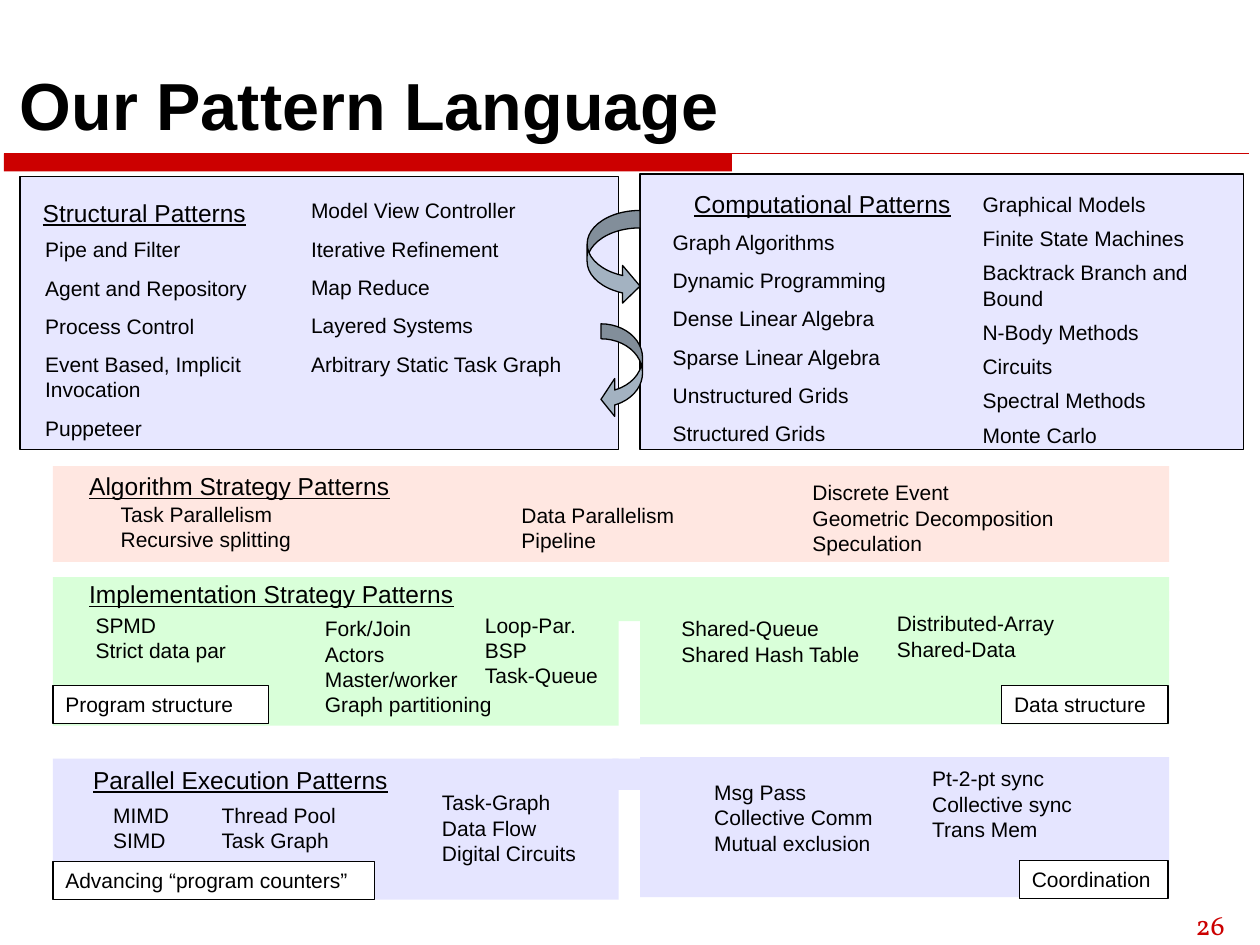
import pptx
import pptx.util
import pptx.dml.color
import pptx.enum.shapes
import pptx.enum.text
import lxml.etree
from pptx.util import Inches

COLORS = {
    "red": "CC0000",
    "black": "000000",
    "white": "FFFFFF",
    "panel": "E7E7FF",
    "execution": "E5E5FF",
    "algorithm": "FFE7E1",
    "implementation": "D9FFD9",
    "arrow": "A3B2C1",
}
SHAPES = pptx.enum.shapes.MSO_SHAPE
DRAWING = "http://schemas.openxmlformats.org/drawingml/2006/main"

deck = pptx.Presentation()
deck.slide_width = Inches(10)
deck.slide_height = Inches(7.5)
page = deck.slides.add_slide(deck.slide_layouts[6])


def add_block(place, fill, outlined=False, kind=SHAPES.RECTANGLE):
    block = page.shapes.add_shape(kind, *map(Inches, place))
    block.shadow.inherit = False
    block.fill.solid()
    block.fill.fore_color.rgb = pptx.dml.color.RGBColor.from_string(COLORS[fill])
    if outlined:
        block.line.color.rgb = pptx.dml.color.RGBColor.from_string(COLORS["black"])
        block.line.width = pptx.util.Pt(0.75)
    else:
        block.line.fill.background()
    return block


def write(box, lines, size=12, gap=0, color="black", font="Arial", tab=None):
    frame = box.text_frame
    frame.word_wrap = True
    frame.vertical_anchor = pptx.enum.text.MSO_ANCHOR.TOP
    for index, line in enumerate(lines):
        paragraph = frame.paragraphs[0] if index == 0 else frame.add_paragraph()
        paragraph.text = line
        paragraph.alignment = pptx.enum.text.PP_ALIGN.LEFT
        paragraph.space_before = pptx.util.Pt(gap if index else 0)
        if tab:
            properties = paragraph._p.get_or_add_pPr()
            stops = lxml.etree.SubElement(properties, f"{{{DRAWING}}}tabLst")
            lxml.etree.SubElement(stops, f"{{{DRAWING}}}tab", pos=str(Inches(tab)), algn="l")
        paragraph.font.size = pptx.util.Pt(size)
        paragraph.font.name = font
        paragraph.font.color.rgb = pptx.dml.color.RGBColor.from_string(COLORS[color])
    return frame


add_block((0.03, 1.22, 5.78, 0.14), "red")
rule = page.shapes.add_connector(
    pptx.enum.shapes.MSO_CONNECTOR.STRAIGHT,
    Inches(0.03), Inches(1.22), Inches(9.91), Inches(1.22))
rule.line.color.rgb = pptx.dml.color.RGBColor.from_string(COLORS["red"])
rule.line.width = pptx.util.Pt(0.75)
lxml.etree.SubElement(rule._element.spPr, f"{{{DRAWING}}}effectLst")

number = page.shapes.add_textbox(Inches(9.39), Inches(7.15), Inches(0.59), Inches(0.35))
write(number, ["26"], size=16, color="red", font="Vollkorn")

title = page.shapes.add_textbox(Inches(0.06), Inches(0.33), Inches(9.79), Inches(0.86))
title_frame = write(title, ["Our Pattern Language"], size=38)
title_frame.vertical_anchor = pptx.enum.text.MSO_ANCHOR.BOTTOM
title_frame.paragraphs[0].font.bold = True

bands = [
    ((0.42, 6.02, 4.49, 1.12), "execution", False),
    ((5.08, 6.01, 4.2, 1.11), "execution", False),
    ((4.86, 6.02, 0.28, 0.25), "execution", False),
    ((0.16, 1.4, 4.75, 2.17), "panel", True),
    ((5.08, 1.38, 4.79, 2.19), "panel", True),
    ((5.08, 4.85, 4.2, 0.9), "implementation", False),
    ((0.42, 4.93, 4.49, 0.83), "implementation", False),
    ((0.42, 3.7, 8.86, 0.76), "algorithm", False),
    ((0.42, 4.58, 8.86, 0.35), "implementation", False),
]
for place, fill, outlined in bands:
    add_block(place, fill, outlined)

curved_arrows = [
    (SHAPES.CURVED_RIGHT_ARROW, (4.66, 1.67, 0.42, 0.75), (0.33, 0.71, 0.33)),
    (SHAPES.CURVED_LEFT_ARROW, (4.77, 2.57, 0.33, 0.75), (0.36, 0.91, 0.33)),
]
for kind, place, adjustments in curved_arrows:
    arrow = add_block(place, "arrow", True, kind)
    for index, value in enumerate(adjustments):
        arrow.adjustments[index] = value

headings = [
    ((0.24, 1.52, 4.39), "Structural Patterns"),
    ((5.41, 1.45, 4.5), "Computational Patterns"),
    ((0.61, 3.69, 5.16), "Algorithm Strategy Patterns"),
    ((0.61, 4.55, 5.96), "Implementation Strategy Patterns"),
    ((0.64, 6.02, 3.54), "Parallel Execution Patterns"),
]
for place, heading in headings:
    box = page.shapes.add_textbox(*map(Inches, (*place, 0.34)))
    frame = write(box, [heading], size=14)
    frame.paragraphs[0].font.underline = True

pattern_lists = [
    ((0.26, 1.83, 2.25, 1.72), 7.5, [
        "Pipe and Filter", "Agent and Repository", "Process Control",
        "Event Based, Implicit Invocation", "Puppeteer"]),
    ((2.37, 1.52, 2.42, 1.52), 7.5, [
        "Model View Controller", "Iterative Refinement", "Map Reduce",
        "Layered Systems", "Arbitrary Static Task Graph"]),
    ((5.24, 1.77, 2.25, 1.82), 7.5, [
        "Graph Algorithms", "Dynamic Programming", "Dense Linear Algebra",
        "Sparse Linear Algebra", "Unstructured Grids", "Structured Grids"]),
    ((7.7, 1.47, 2.21, 2.14), 5.2, [
        "Graphical Models", "Finite State Machines", "Backtrack Branch and Bound",
        "N-Body Methods", "Circuits", "Spectral Methods", "Monte Carlo"]),
]
for place, gap, patterns in pattern_lists:
    write(page.shapes.add_textbox(*map(Inches, place)), patterns, gap=gap)

strategy_groups = [
    ((0.86, 3.93, 2, 0.5), "Task Parallelism\nRecursive splitting"),
    ((4.04, 3.94, 2.58, 0.5), "Data Parallelism\nPipeline"),
    ((6.35, 3.76, 2.3, 0.7), "Discrete Event\nGeometric Decomposition\nSpeculation"),
    ((0.66, 4.81, 1.99, 0.5), "SPMD\nStrict data par"),
    ((2.48, 4.84, 1.69, 0.9), "Fork/Join\nActors\nMaster/worker\nGraph partitioning"),
    ((3.75, 4.81, 1.28, 0.7), "Loop-Par.\nBSP\nTask-Queue"),
    ((5.31, 4.84, 2, 0.5), "Shared-Queue\nShared Hash Table"),
    ((7.02, 4.8, 1.74, 0.5), "Distributed-Array\nShared-Data"),
    ((0.8, 6.32, 2.11, 0.5), "MIMD\tThread Pool\nSIMD\tTask Graph"),
    ((3.41, 6.22, 1.27, 0.7), "Task-Graph\nData Flow\nDigital Circuits"),
    ((5.57, 6.14, 1.79, 0.7), "Msg Pass\nCollective Comm\nMutual exclusion"),
    ((7.3, 6.03, 1.79, 0.7), "Pt-2-pt sync\nCollective sync\nTrans Mem"),
]
for place, patterns in strategy_groups:
    box = page.shapes.add_textbox(*map(Inches, place))
    write(box, [patterns], tab=0.86 if "\t" in patterns else None)

labels = [
    ((0.42, 5.44, 1.71, 0.3), "Program structure"),
    ((7.95, 5.44, 1.32, 0.3), "Data structure"),
    ((0.42, 6.84, 2.55, 0.3), "Advancing “program counters”"),
    ((8.09, 6.83, 1.18, 0.3), "Coordination"),
]
for place, label in labels:
    write(add_block(place, "white", True), [label])

deck.save("out.pptx")
